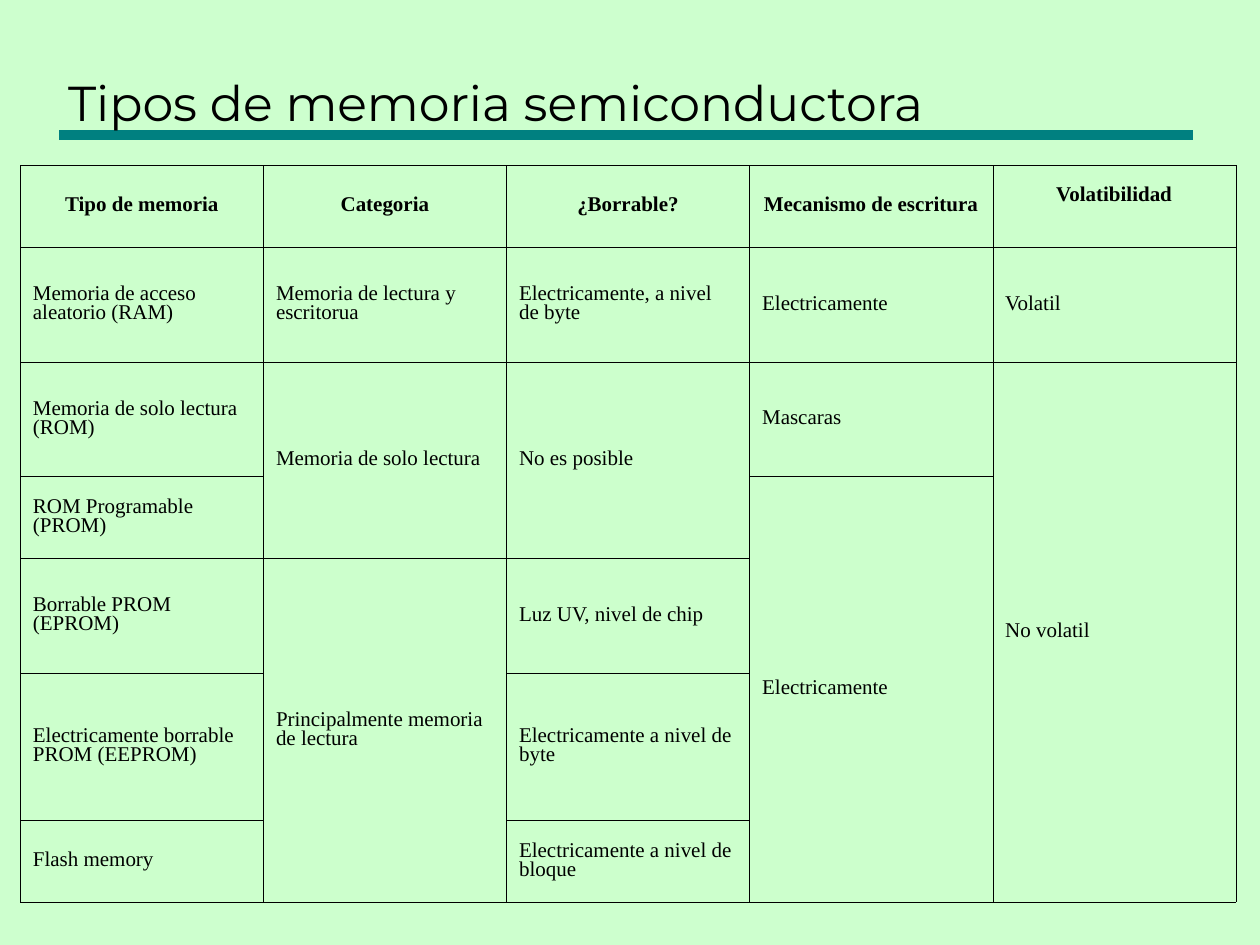
import pptx
import pptx.dml.color
import pptx.enum.shapes
import pptx.enum.text
import pptx.oxml.ns
import pptx.util
from lxml import etree
from pptx.util import Cm

BACKGROUND = "CDFFCE"
CELL_FILL = "CCFFCC"
TEAL = "008080"
BLACK = "000000"

COLUMN_WIDTH = 4.9
ROW_HEIGHTS = [1.65, 2.31, 2.31, 1.65, 2.31, 2.97, 1.65]
# None continues the cell above it.
ROWS = [
    ["Tipo de memoria", "Categoria", "¿Borrable?",
     "Mecanismo de escritura", "Volatibilidad"],
    ["Memoria de acceso aleatorio (RAM)", "Memoria de lectura y escritorua",
     "Electricamente, a nivel de byte", "Electricamente", "Volatil"],
    ["Memoria de solo lectura (ROM)", "Memoria de solo lectura",
     "No es posible", "Mascaras", "No volatil"],
    ["ROM Programable (PROM)", None, None, "Electricamente", None],
    ["Borrable PROM\n(EPROM)", "Principalmente memoria de lectura",
     "Luz UV, nivel de chip", None, None],
    ["Electricamente borrable PROM (EEPROM)", None,
     "Electricamente a nivel de byte", None, None],
    ["Flash memory", None, "Electricamente a nivel de bloque", None, None],
]


def rgb(value):
    return pptx.dml.color.RGBColor.from_string(value)


def add_run(para, text, font_name, size, bold=False):
    span = para.add_run()
    span.text = text
    span.font.name = font_name
    span.font.size = pptx.util.Pt(size)
    span.font.bold = bold
    span.font.color.rgb = rgb(BLACK)


def write_title(page, text):
    title = page.shapes.title
    title.left, title.top = Cm(1.12), Cm(0.43)
    title.width, title.height = Cm(22.78), Cm(2.34)
    frame = title.text_frame
    frame.auto_size = pptx.enum.text.MSO_AUTO_SIZE.NONE
    frame.word_wrap = True
    frame.vertical_anchor = pptx.enum.text.MSO_ANCHOR.BOTTOM
    para = frame.paragraphs[0]
    para.alignment = pptx.enum.text.PP_ALIGN.LEFT
    add_run(para, text, "Montserrat", 28)
    return title


def add_rule_behind(page, title):
    rule = page.shapes.add_connector(
        pptx.enum.shapes.MSO_CONNECTOR.STRAIGHT,
        Cm(1.3), Cm(2.72), Cm(23.95), Cm(2.72))
    rule.line.color.rgb = rgb(TEAL)
    rule.line.width = pptx.util.Pt(6)
    rule.line._get_or_add_ln().set("cap", "sq")
    etree.SubElement(rule._element.spPr, pptx.oxml.ns.qn("a:effectLst"))
    title._element.addprevious(rule._element)


def add_borders(cell):
    properties = cell._tc.get_or_add_tcPr()
    for side in ("lnL", "lnR", "lnT", "lnB"):
        border = etree.SubElement(properties, pptx.oxml.ns.qn("a:" + side),
                                  w=str(pptx.util.Pt(0.06)))
        fill = etree.SubElement(border, pptx.oxml.ns.qn("a:solidFill"))
        etree.SubElement(fill, pptx.oxml.ns.qn("a:srgbClr"), val=BLACK)


def style_cell(cell):
    add_borders(cell)
    cell.fill.solid()
    cell.fill.fore_color.rgb = rgb(CELL_FILL)
    cell.vertical_anchor = pptx.enum.text.MSO_ANCHOR.MIDDLE


def write_cell(cell, text, is_header):
    para = cell.text_frame.paragraphs[0]
    para.line_spacing = 0.82
    if is_header:
        para.alignment = pptx.enum.text.PP_ALIGN.CENTER
    for index, line in enumerate(text.split("\n")):
        if index:
            para.add_line_break()
        add_run(para, line, "Times New Roman", 12, is_header)


def add_memory_table(page):
    row_count, column_count = len(ROWS), len(ROWS[0])
    table = page.shapes.add_table(
        row_count, column_count, Cm(0.41), Cm(3.33),
        Cm(COLUMN_WIDTH * column_count), Cm(sum(ROW_HEIGHTS))).table
    table.first_row = table.horz_banding = False
    for column in table.columns:
        column.width = Cm(COLUMN_WIDTH)
    for row, height in zip(table.rows, ROW_HEIGHTS):
        row.height = Cm(height)
    for r, texts in enumerate(ROWS):
        for c, text in enumerate(texts):
            cell = table.cell(r, c)
            style_cell(cell)
            if text is None:
                continue
            write_cell(cell, text, r == 0)
            last = r
            while last + 1 < row_count and ROWS[last + 1][c] is None:
                last += 1
            if last > r:
                cell.merge(table.cell(last, c))
    # The last heading sits a little higher than the others.
    table.cell(0, column_count - 1).margin_bottom = Cm(0.53)


def main():
    deck = pptx.Presentation()
    deck.slide_width, deck.slide_height = Cm(25.4), Cm(19.05)
    page = deck.slides.add_slide(deck.slide_layouts[5])
    page.background.fill.solid()
    page.background.fill.fore_color.rgb = rgb(BACKGROUND)
    title = write_title(page, "Tipos de memoria semiconductora")
    add_rule_behind(page, title)
    add_memory_table(page)
    deck.save("out.pptx")


if __name__ == "__main__":
    main()
